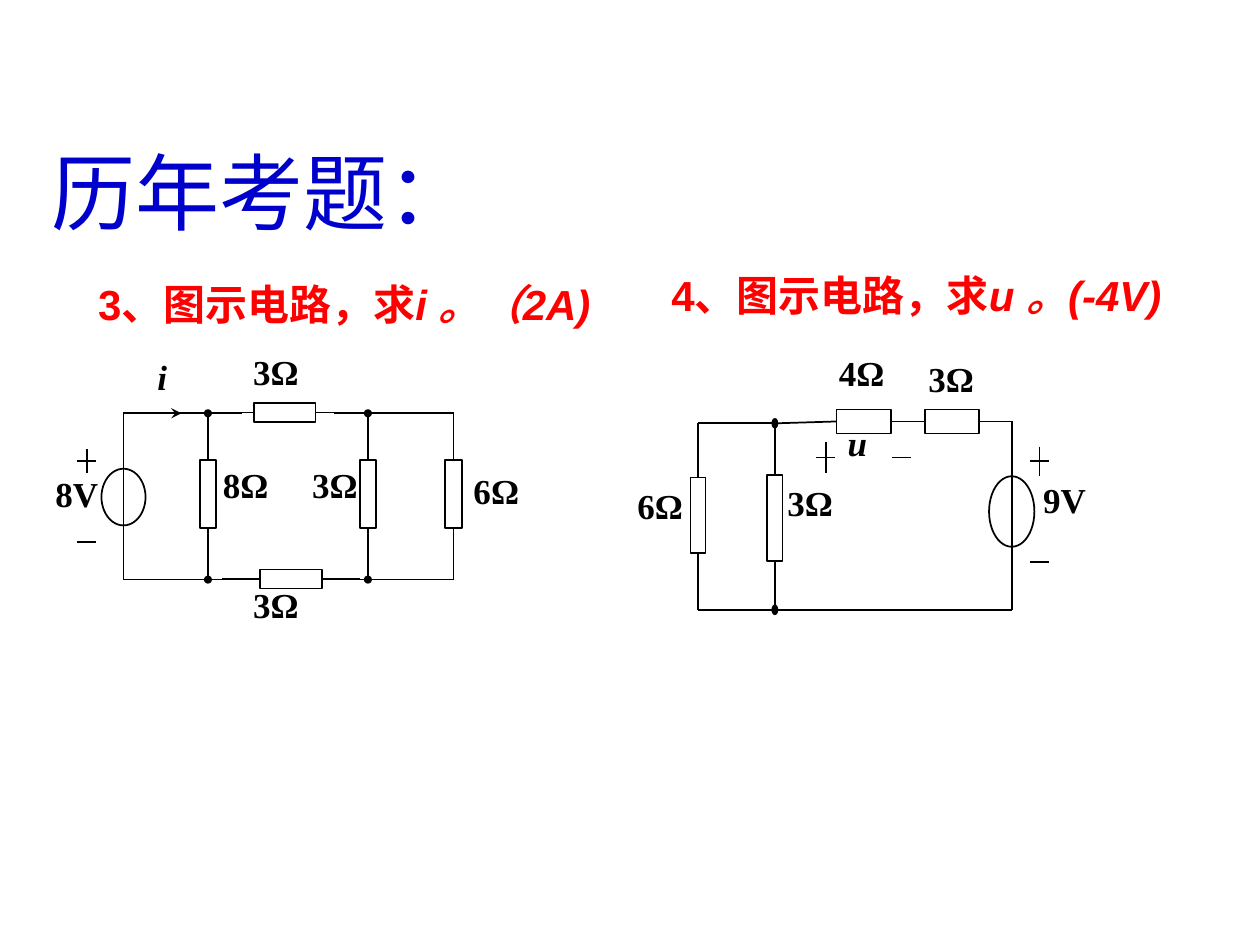
import pptx
import pptx.util
import pptx.dml.color
import pptx.enum.shapes
import pptx.enum.text
from lxml import etree
from dataclasses import dataclass

KIND = pptx.enum.shapes.MSO_SHAPE
FIT = pptx.enum.text.MSO_AUTO_SIZE
SIDE = pptx.enum.text.PP_ALIGN
MID = pptx.enum.text.MSO_ANCHOR.MIDDLE
TOP, LEFT, BOTTOM, RIGHT = range(4)
NS = "{http://schemas.openxmlformats.org/drawingml/2006/main}"


@dataclass
class Theme:
    ink: str = "000000"
    head: str = "0000CC"
    task: str = "FF0000"
    serif: str = "Times New Roman"
    sans: str = "Arial"
    big: int = 48
    mid: int = 24
    small: int = 20
    line: float = 1


THEME = Theme()


def tint(code):
    return pptx.dml.color.RGBColor.from_string(code)


def style(run, face, size, color, bold=True, slant=False):
    font = run.font
    font.name, font.size = face, pptx.util.Pt(size)
    font.bold, font.italic = bold, slant
    font.color.rgb = tint(color)


def write(shapes, box, text):
    frame = shapes.add_textbox(*map(int, box)).text_frame
    frame.word_wrap = True
    frame.text = text
    return frame


class Pad:
    """A box split into columns and rows, on which circuits are drawn."""

    def __init__(self, shapes, box, cols, rows):
        self.shapes = shapes
        self.x, self.y = box[:2]
        self.dx, self.dy = box[2] / cols, box[3] / rows

    def spot(self, col, row):
        return int(self.x + col * self.dx), int(self.y + row * self.dy)

    def area(self, col, row, wide, high):
        return *self.spot(col, row), int(wide * self.dx), int(high * self.dy)

    def form(self, kind, col, row, wide, high, solid=False):
        """Outline centred on the given column and row."""
        item = self.shapes.add_shape(
            kind, *self.area(col - wide / 2, row - high / 2, wide, high))
        item.shadow.inherit = False
        if solid:
            item.fill.solid()
            item.fill.fore_color.rgb = tint(THEME.ink)
        else:
            item.fill.background()
        item.line.color.rgb = tint(THEME.ink)
        item.line.width = pptx.util.Pt(THEME.line)
        return item

    def wire(self, start, end, first=None, last=None, arrow=False):
        """Line from start to end; first and last are (shape, side) joints."""
        line = self.shapes.add_connector(
            pptx.enum.shapes.MSO_CONNECTOR.STRAIGHT,
            *self.spot(*start), *self.spot(*end))
        line.line.color.rgb = tint(THEME.ink)
        line.line.width = pptx.util.Pt(THEME.line)
        frame = line._element.spPr
        if arrow:
            etree.SubElement(frame.find(NS + "ln"), NS + "tailEnd", type="stealth")
        etree.SubElement(frame, NS + "effectLst")
        if first:
            line.begin_connect(*first)
        if last:
            line.end_connect(*last)

    def stand(self, col, row, wide, high, top, base):
        """Upright resistor with leads to the rails."""
        item = self.form(KIND.RECTANGLE, col, row, wide, high)
        self.wire((col, top), (col, row - high / 2), last=(item, TOP))
        self.wire((col, row + high / 2), (col, base), first=(item, BOTTOM))

    def lie(self, col, row, wide, high, lead=0):
        """Level resistor, with a lead at each end if asked."""
        item = self.form(KIND.RECTANGLE, col, row, wide, high)
        left, right = col - wide / 2, col + wide / 2
        if lead:
            self.wire((left - lead, row), (left, row), last=(item, LEFT))
            self.wire((right, row), (right + lead, row), first=(item, RIGHT))
        return item

    def sign(self, col, row, tall=0):
        """Minus sign, or a plus sign when a height is given."""
        self.wire((col - 0.75, row), (col + 0.75, row))
        if tall:
            self.wire((col, row - tall / 2), (col, row + tall / 2))

    def dots(self, spots, wide, high):
        for spot in spots:
            self.form(KIND.FLOWCHART_CONNECTOR, *spot, wide, high, solid=True)

    def label(self, text, col, row, wide, high, slant=False):
        para = write(self.shapes, self.area(col, row, wide, high), text).paragraphs[0]
        para.alignment = SIDE.JUSTIFY
        style(para.runs[0], THEME.serif, THEME.small, THEME.ink, slant=slant)


def title(slide, box):
    frame = write(slide.shapes, box, "历年考题：")
    frame.auto_size = FIT.SHAPE_TO_FIT_TEXT
    style(frame.paragraphs[0].runs[0], THEME.serif, THEME.big, THEME.head, bold=False)


def task(slide, box, lead, goal, wrap):
    frame = write(slide.shapes, box, lead)
    frame.word_wrap = wrap
    frame.auto_size = FIT.SHAPE_TO_FIT_TEXT
    frame.vertical_anchor = MID
    para = frame.paragraphs[0]
    para.add_run().text = goal
    for run, slant in zip(para.runs, (False, True)):
        style(run, THEME.sans, THEME.mid, THEME.task, slant=slant)


def ladder(slide, box):
    """Three branches fed by the 8 V source."""
    pad = Pad(slide.shapes.add_group_shape().shapes, box, 43, 24)
    top, base = 5.8, 19
    feed, near, far, end = 6.8, 13.5, 26.2, 33
    # Source
    pad.wire((feed, top), (feed, base))
    pad.form(KIND.OVAL, feed, 12.45, 3.5, 4.5)
    pad.sign(3.9, 9.6, 1.9)
    pad.sign(3.85, 16)
    # Rails and current arrow
    for row in (top, base):
        pad.wire((feed, row), (16.2, row))
        pad.wire((23.5, row), (end, row))
    pad.wire((9, top), (11.4, top), arrow=True)
    # Resistors
    for col in (near, far, end):
        pad.stand(col, 12.2, 1.3, 5.4, top, base)
    pad.lie(19.6, 5.75, 4.9, 1.5, lead=3)
    pad.lie(20.1, 18.95, 4.9, 1.5, lead=3)
    # Nodes
    pad.dots([(col, row) for col in (near, far) for row in (top, base)], 0.5, 0.5)
    # Labels
    pad.label("i", 8.5, 0.7, 4.7, 5.4, slant=True)
    for text, col, row, wide in (
            ("8V", 0.4, 10, 5.9), ("8Ω", 13.7, 9.3, 8.1), ("3Ω", 20.8, 9.3, 6.3),
            ("6Ω", 33.6, 9.8, 9.4), ("3Ω", 16.1, 0.3, 8.1), ("3Ω", 16.1, 18.8, 8.1)):
        pad.label(text, col, row, wide, 4.8)


def loop(slide, box):
    """Two branches and two series resistors fed by the 9 V source."""
    pad = Pad(slide.shapes.add_group_shape().shapes, box, 39, 23)
    top, base, row = 6.6, 21.4, 6.45
    end, node, feed = 6.4, 12.5, 31.3
    # Source
    pad.wire((feed, row), (feed, base))
    pad.form(KIND.OVAL, feed, 13.6, 3.6, 5.6)
    pad.sign(33.5, 9.6, 2.3)
    pad.sign(33.5, 17.6)
    # Resistors
    pad.stand(end, 13.9, 1.2, 6, top, base)
    pad.stand(node, 14.1, 1.2, 6.8, top, base)
    four = pad.lie(19.55, row, 4.3, 1.9)
    three = pad.lie(26.55, row, 4.3, 1.9)
    # Rails
    pad.wire((end, top), (node, top))
    pad.wire((node, top), (17.4, row), last=(four, LEFT))
    pad.wire((21.7, row), (24.4, row), (four, RIGHT), (three, LEFT))
    pad.wire((28.7, row), (feed, row), first=(three, RIGHT))
    pad.wire((end, base), (node, base))
    pad.wire((node, base), (feed, base))
    # Nodes and the sense of u
    pad.dots([(node, top), (node, base)], 0.4, 0.7)
    pad.sign(16.55, 9.3, 2.5)
    pad.sign(22.55, 9.3)
    # Labels
    pad.label("u", 17.3, 6, 4.7, 6.7, slant=True)
    for text, col, line in (("9V", 32.8, 10.5), ("4Ω", 16.6, 0.4), ("3Ω", 12.5, 10.7),
                            ("3Ω", 23.7, 0.9), ("6Ω", 0.6, 11)):
        pad.label(text, col, line, 7.1, 6)


def main():
    deck = pptx.Presentation()
    deck.slide_width, deck.slide_height = pptx.util.Inches(10), pptx.util.Inches(7.5)
    slide = deck.slides.add_slide(deck.slide_layouts[6])
    unit = deck.slide_width / 100  # the slide is 100 columns by 75 rows

    def cells(*sizes):
        return [size * unit for size in sizes]

    title(slide, cells(3.1, 10.7, 89.9, 9))
    ladder(slide, cells(3, 27, 43, 24))
    task(slide, cells(6.8, 19.6, 43.1, 9), "3、图示电路，求", "i 。（2A)", True)
    loop(slide, cells(49, 27, 39, 23))
    task(slide, cells(52.3, 20.9, 44.1, 5), "4、图示电路，求", "u 。(-4V)", False)
    deck.save("out.pptx")


if __name__ == "__main__":
    main()
